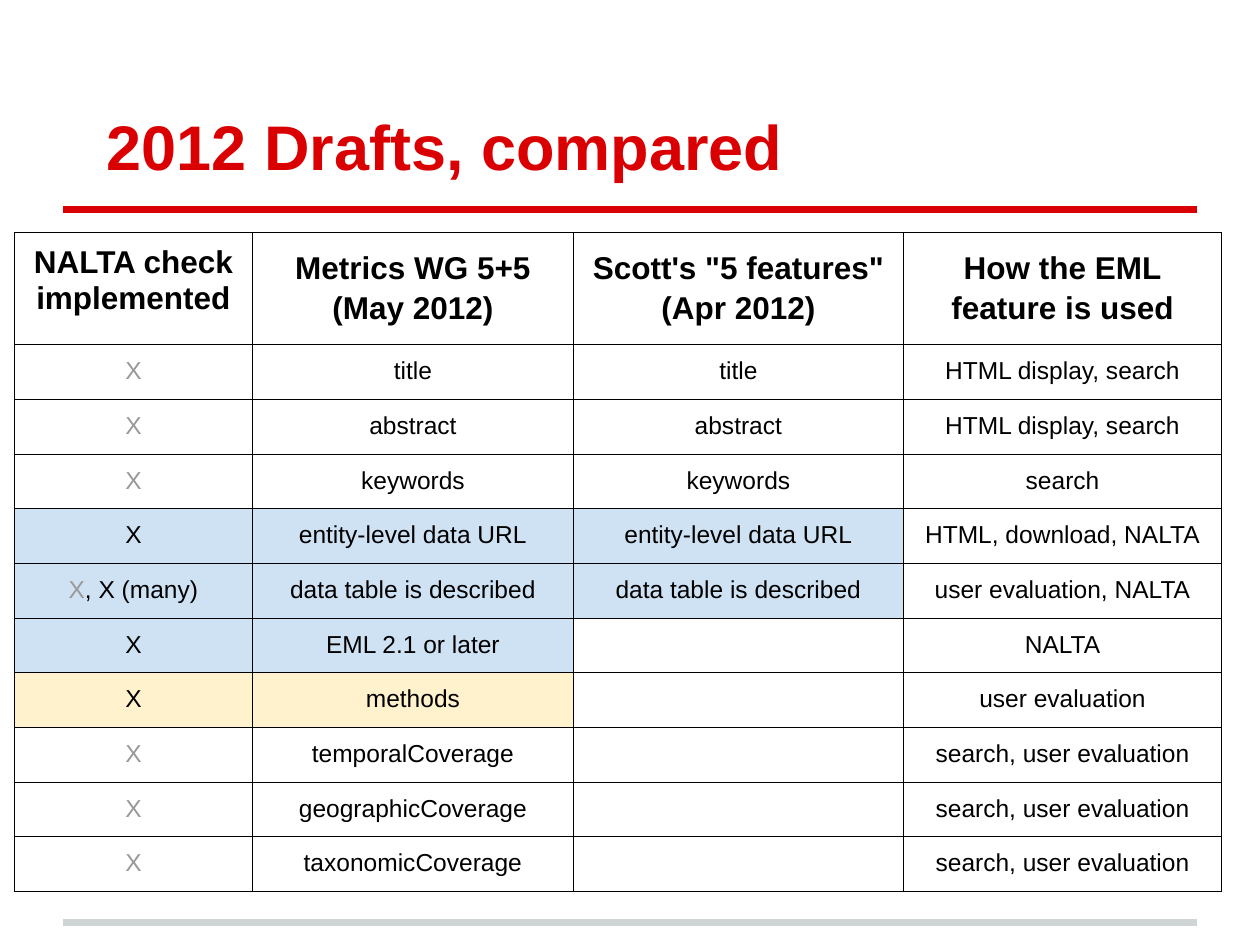
import dataclasses
import typing

import pptx
import pptx.dml.color
import pptx.enum.shapes
import pptx.enum.text
import pptx.oxml.ns
import pptx.slide
import pptx.table
import pptx.util
import lxml.etree

Pt = pptx.util.Pt
RGB = pptx.dml.color.RGBColor


@dataclasses.dataclass(frozen=True)
class Theme:
    font: str = "Arial"
    red: str = "DA0002"
    silver: str = "CFD4D4"
    black: str = "000000"
    muted: str = "999999"
    white: str = "FFFFFF"
    blue: str = "CFE2F3"
    yellow: str = "FFF2CC"
    title_size: float = 36
    header_size: float = 18
    body_size: float = 14
    rule_width: float = 4
    border_width: float = 0.75
    inset: float = 7.2


THEME = Theme()


class Run(typing.NamedTuple):
    text: str
    color: str = THEME.black


class Header(typing.NamedTuple):
    lines: tuple[str, ...]
    width: float
    spacing: float = 1.15


class Feature(typing.NamedTuple):
    check: tuple[Run, ...]
    metrics: str
    scott: str
    usage: str
    tint: str = THEME.white


class Rule(typing.NamedTuple):
    y: float
    color: str


MUTED = (Run("X", THEME.muted),)
ACTIVE = (Run("X"),)
MANY = (Run("X", THEME.muted), Run(", X (many)"))

RULES = [Rule(527, THEME.silver), Rule(120, THEME.red)]
HEADERS = [
    Header(("NALTA check implemented",), 136, 1.0),
    Header(("Metrics WG 5+5", "(May 2012)"), 183.5),
    Header(("Scott's \"5 features\"", "(Apr 2012)"), 188.5),
    Header(("How the EML", "feature is used"), 182),
]
FEATURES = [
    Feature(MUTED, "title", "title", "HTML display, search"),
    Feature(MUTED, "abstract", "abstract", "HTML display, search"),
    Feature(MUTED, "keywords", "keywords", "search"),
    Feature(ACTIVE, "entity-level data URL", "entity-level data URL", "HTML, download, NALTA", THEME.blue),
    Feature(MANY, "data table is described", "data table is described", "user evaluation, NALTA", THEME.blue),
    Feature(ACTIVE, "EML 2.1 or later", "", "NALTA", THEME.blue),
    Feature(ACTIVE, "methods", "", "user evaluation", THEME.yellow),
    Feature(MUTED, "temporalCoverage", "", "search, user evaluation"),
    Feature(MUTED, "geographicCoverage", "", "search, user evaluation"),
    Feature(MUTED, "taxonomicCoverage", "", "search, user evaluation"),
]
TABLE_LEFT, TABLE_TOP = 8.25, 133
HEADER_HEIGHT, ROW_HEIGHT = 64, 31.2


def add_run(p: typing.Any, run: Run, size: float, bold: bool) -> None:
    r = p.add_run()
    r.text = run.text
    r.font.name = THEME.font
    r.font.size = Pt(size)
    r.font.bold = bold
    r.font.color.rgb = RGB.from_string(run.color)


def add_rule(s: pptx.slide.Slide, rule: Rule) -> None:
    line = s.shapes.add_connector(
        pptx.enum.shapes.MSO_CONNECTOR.STRAIGHT, Pt(36), Pt(rule.y), Pt(684), Pt(rule.y))
    line.line.color.rgb = RGB.from_string(rule.color)
    line.line.width = Pt(THEME.rule_width)
    lxml.etree.SubElement(line._element.spPr, pptx.oxml.ns.qn("a:effectLst"))


def add_title(s: pptx.slide.Slide, text: str) -> None:
    sp = s.shapes.add_textbox(Pt(36), Pt(21.6), Pt(648), Pt(90))
    tf = sp.text_frame
    tf.word_wrap = True
    tf.vertical_anchor = pptx.enum.text.MSO_ANCHOR.BOTTOM
    tf.margin_left = tf.margin_right = tf.margin_top = tf.margin_bottom = Pt(THEME.inset)
    p = tf.paragraphs[0]
    p._p.get_or_add_pPr().set("indent", str(Pt(18)))
    add_run(p, Run(text, THEME.red), THEME.title_size, True)


def add_borders(cell: pptx.table._Cell) -> None:
    tc_pr = cell._tc.get_or_add_tcPr()
    for index, side in enumerate(("lnL", "lnR", "lnT", "lnB")):
        ln = lxml.etree.Element(pptx.oxml.ns.qn(f"a:{side}"), w=str(Pt(THEME.border_width)))
        fill = lxml.etree.SubElement(ln, pptx.oxml.ns.qn("a:solidFill"))
        lxml.etree.SubElement(fill, pptx.oxml.ns.qn("a:srgbClr"), val=THEME.black)
        tc_pr.insert(index, ln)


def fill_cell(cell: pptx.table._Cell, lines: typing.Sequence[typing.Sequence[Run]], size: float,
              bold: bool = False, spacing: float = 1.0, tint: str = THEME.white) -> None:
    cell.margin_left = cell.margin_right = cell.margin_top = cell.margin_bottom = Pt(THEME.inset)
    cell.fill.solid()
    cell.fill.fore_color.rgb = RGB.from_string(tint)
    add_borders(cell)
    tf = cell.text_frame
    for index, runs in enumerate(lines):
        p = tf.add_paragraph() if index else tf.paragraphs[0]
        p.alignment = pptx.enum.text.PP_ALIGN.CENTER
        p.line_spacing = spacing
        for run in runs:
            add_run(p, run, size, bold)
        if not runs:
            lxml.etree.SubElement(p._p, pptx.oxml.ns.qn("a:endParaRPr"), sz=str(round(size * 100)))


def add_comparison(s: pptx.slide.Slide) -> None:
    width = sum(header.width for header in HEADERS)
    height = HEADER_HEIGHT + ROW_HEIGHT * len(FEATURES)
    table = s.shapes.add_table(len(FEATURES) + 1, len(HEADERS), Pt(TABLE_LEFT), Pt(TABLE_TOP),
                               Pt(width), Pt(height)).table
    table.first_row = table.horz_banding = False
    table.rows[0].height = Pt(HEADER_HEIGHT)
    for col, header in enumerate(HEADERS):
        table.columns[col].width = Pt(header.width)
        lines = [(Run(text),) for text in header.lines]
        fill_cell(table.cell(0, col), lines, THEME.header_size, True, header.spacing)
    for row, feature in enumerate(FEATURES, start=1):
        table.rows[row].height = Pt(ROW_HEIGHT)
        texts = (feature.metrics, feature.scott, feature.usage)
        contents = [feature.check] + [(Run(text),) if text else () for text in texts]
        for col, runs in enumerate(contents):
            tinted = runs and col < len(HEADERS) - 1
            fill_cell(table.cell(row, col), [runs], THEME.body_size,
                      tint=feature.tint if tinted else THEME.white)


def main() -> None:
    prs = pptx.Presentation()
    prs.slide_width, prs.slide_height = Pt(720), Pt(540)
    s = prs.slides.add_slide(prs.slide_layouts[6])
    for rule in RULES:
        add_rule(s, rule)
    add_title(s, "2012 Drafts, compared")
    add_comparison(s)
    prs.save("out.pptx")


if __name__ == "__main__":
    main()
